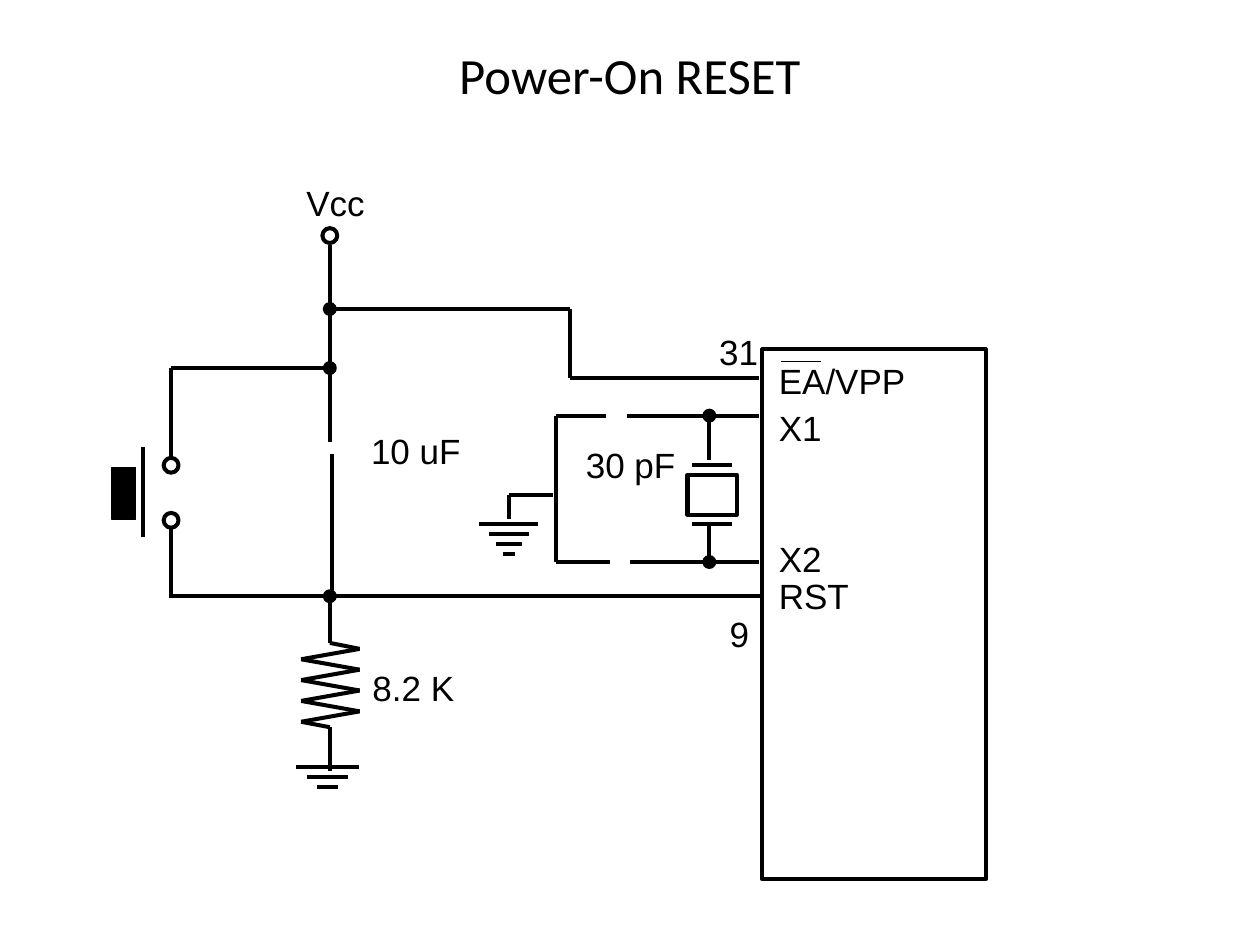
import itertools

import pptx
import pptx.dml.color
import pptx.enum.shapes
import pptx.enum.text
import pptx.oxml
import pptx.util
from pptx.util import Cm

INK = "000000"
PEN = 2.3
DOT, TERMINAL = 0.1, 0.15
SHAPE = pptx.enum.shapes.MSO_SHAPE
ALIGN = pptx.enum.text.PP_ALIGN
EFFECTS = ('<a:effectLst xmlns:a='
           '"http://schemas.openxmlformats.org/drawingml/2006/main"/>')
FRAME = {"word_wrap": True, "vertical_anchor": pptx.enum.text.MSO_ANCHOR.TOP}


def color(value):
    return pptx.dml.color.RGBColor.from_string(value)


def set_all(target, values):
    for name, value in values.items():
        setattr(target, name, value)


def wire(slide, origin, *points, weight=PEN):
    """Join points, given in cm from origin, with straight lines."""
    left, top = origin
    for (x1, y1), (x2, y2) in itertools.pairwise(points):
        segment = slide.shapes.add_connector(
            pptx.enum.shapes.MSO_CONNECTOR.STRAIGHT,
            Cm(left + x1), Cm(top + y1), Cm(left + x2), Cm(top + y2))
        segment.line.color.rgb = color(INK)
        segment.line.width = pptx.util.Pt(weight)
        segment._element.spPr.append(pptx.oxml.parse_xml(EFFECTS))


def solid(slide, kind, origin, box, filled=False, weight=PEN):
    x, y, width, height = box
    part = slide.shapes.add_shape(kind, Cm(origin[0] + x), Cm(origin[1] + y),
                                  Cm(width), Cm(height))
    part.shadow.inherit = False
    if filled:
        part.fill.solid()
        part.fill.fore_color.rgb = color(INK)
    else:
        part.fill.background()
    part.line.color.rgb = color(INK)
    part.line.width = pptx.util.Pt(weight)


def node(slide, origin, x, y, radius, filled):
    box = (x - radius, y - radius, 2 * radius, 2 * radius)
    solid(slide, SHAPE.OVAL, origin, box, filled)


def label(slide, origin, words, x, y, width=3.2, height=1.09,
          font="Arial", size=20, align=ALIGN.LEFT):
    box = slide.shapes.add_textbox(Cm(origin[0] + x), Cm(origin[1] + y),
                                   Cm(width), Cm(height))
    set_all(box.text_frame, FRAME)
    paragraph = box.text_frame.paragraphs[0]
    paragraph.alignment = align
    run = paragraph.add_run()
    run.text = words
    set_all(run.font, {"name": font, "size": pptx.util.Pt(size)})
    run.font.color.rgb = color(INK)


def ground(slide, origin, x, y, widths):
    """Stack bars of shrinking width centred on x."""
    for row, width in enumerate(widths):
        level = y + 0.2 * row
        wire(slide, origin, (x - width / 2, level), (x + width / 2, level))


def chip(slide, left, top, width, height):
    origin = left, top
    solid(slide, SHAPE.RECTANGLE, origin, (0, 0, width, height))
    for pin, y in (("EA/VPP", 0.08), ("X1", 1.02), ("X2", 3.68), ("RST", 4.42)):
        label(slide, origin, pin, 0.08, y)
    wire(slide, origin, (0.38, 0.25), (1.19, 0.25), weight=0.75)
    label(slide, origin, "31", -1.12, -0.51)
    label(slide, origin, "9", -0.91, 5.18)


def crystal(slide, left, top, width, height):
    origin = left, top
    axis = 3.1
    wire(slide, origin, (0, 0), (0, height))
    for y, gap_start, gap_end in ((0, 1.02, 1.45), (height, 1.09, 1.5)):
        wire(slide, origin, (0, y), (gap_start, y))
        wire(slide, origin, (gap_end, y), (width, y))
        node(slide, origin, axis, y, DOT, True)
    wire(slide, origin, (axis, 0), (axis, 0.89))
    wire(slide, origin, (axis, 2.18), (axis, height))
    for y in (0.99, 2.18):
        wire(slide, origin, (2.75, y), (3.56, y))
    solid(slide, SHAPE.RECTANGLE, origin, (2.66, 1.19, 0.99, 0.81))
    label(slide, origin, "30 pF", 0.36, 0.43)
    wire(slide, origin, (-0.05, 1.6), (-0.94, 1.6), (-0.94, 2.08))
    ground(slide, origin, -0.94, 2.18, (1.19, 0.81, 0.53, 0.25))


def reset_column(slide, axis, top):
    """Supply, capacitor, resistor and ground on one vertical axis."""
    origin = axis, top
    label(slide, origin, "Vcc", -0.99, -1.07, width=2.21, align=ALIGN.CENTER)
    node(slide, origin, 0, 0.15, TERMINAL, False)
    wire(slide, origin, (0, 0.33), (0, 4.32))
    wire(slide, origin, (0.05, 4.55), (0.05, 7.42))
    label(slide, origin, "10 uF", 0.58, 3.94)
    wire(slide, origin, (0, 1.63), (4.85, 1.63), (4.85, 3.02), (8.66, 3.02))
    wire(slide, origin, (-3.25, 7.42), (8.69, 7.42))
    for y in (1.63, 2.82, 7.42):
        node(slide, origin, 0, y, DOT, True)

    zigzag = [((0.6, -0.58)[turn % 2], 8.48 + 0.21 * turn) for turn in range(8)]
    wire(slide, origin, (0, 7.42), (0, 8.36), *zigzag, (0, 10.06), (0, 10.95))
    label(slide, origin, "8.2 K", 0.61, 8.71)
    ground(slide, origin, -0.05, 10.87, (1.27, 0.84, 0.43))


def push_button(slide, left, top, width, height):
    origin = left, top
    wire(slide, origin, (width, 0), (0, 0), (0, 1.8))
    wire(slide, origin, (0, 3.25), (0, height))
    for y in (1.96, 3.07):
        node(slide, origin, 0, y, TERMINAL, False)
    wire(slide, origin, (-0.56, 1.6), (-0.56, 3.4))
    solid(slide, SHAPE.RECTANGLE, origin, (-1.19, 2.01, 0.48, 1.04), True, 0.75)


def main():
    deck = pptx.Presentation()
    set_all(deck, {"slide_width": Cm(25.4), "slide_height": Cm(19.05)})
    slide = deck.slides.add_slide(deck.slide_layouts[6])
    label(slide, (1.27, 0.76), "Power-On RESET", 0, 0, 22.86, 3.18,
          "Calibri", 29, ALIGN.CENTER)
    crystal(slide, 11.2, 8.38, 4.11, 2.95)
    chip(slide, 15.37, 7.04, 4.5, 10.69)
    reset_column(slide, 6.65, 4.6)
    push_button(slide, 3.45, 7.42, 3.2, 4.6)
    deck.save("out.pptx")


if __name__ == "__main__":
    main()
